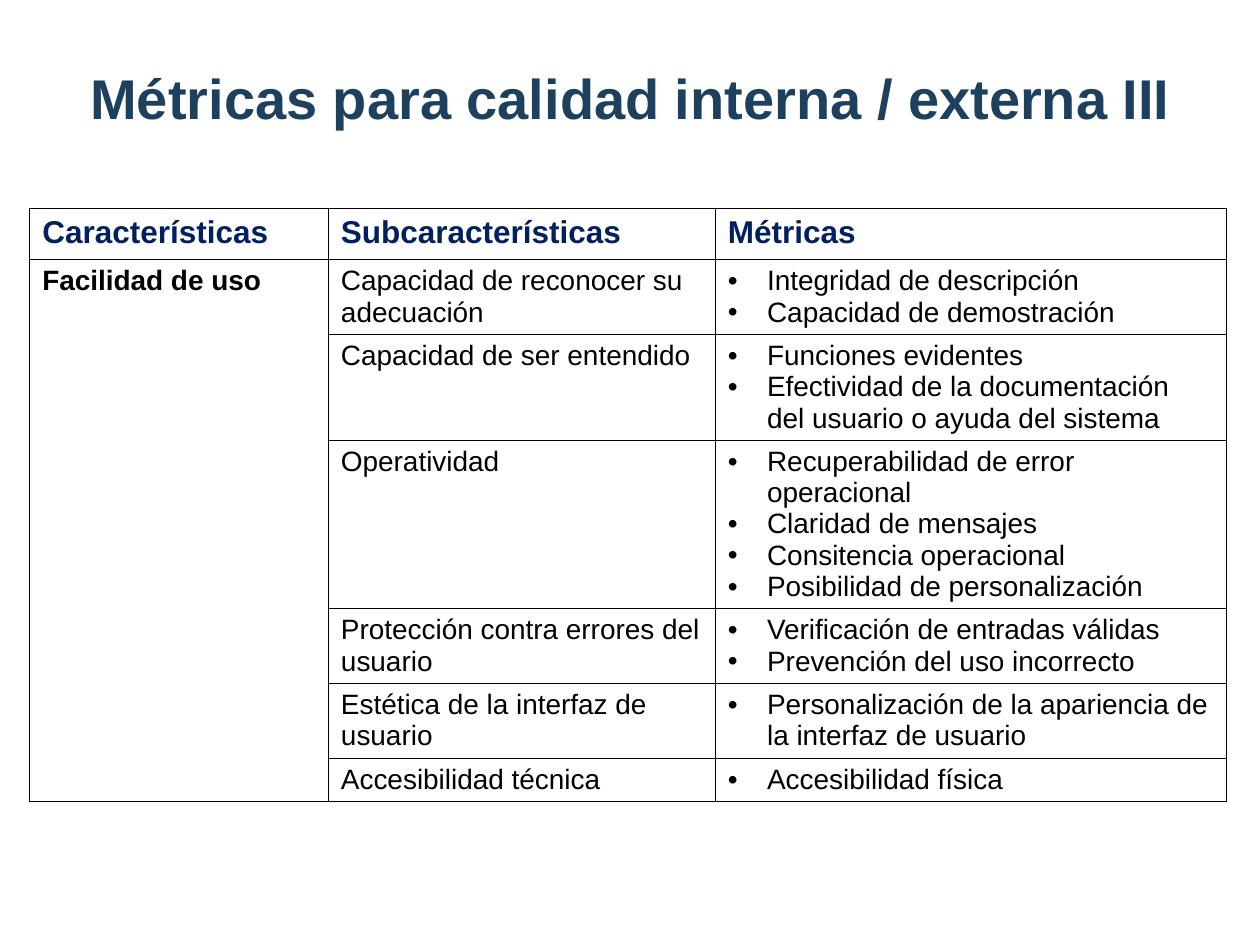
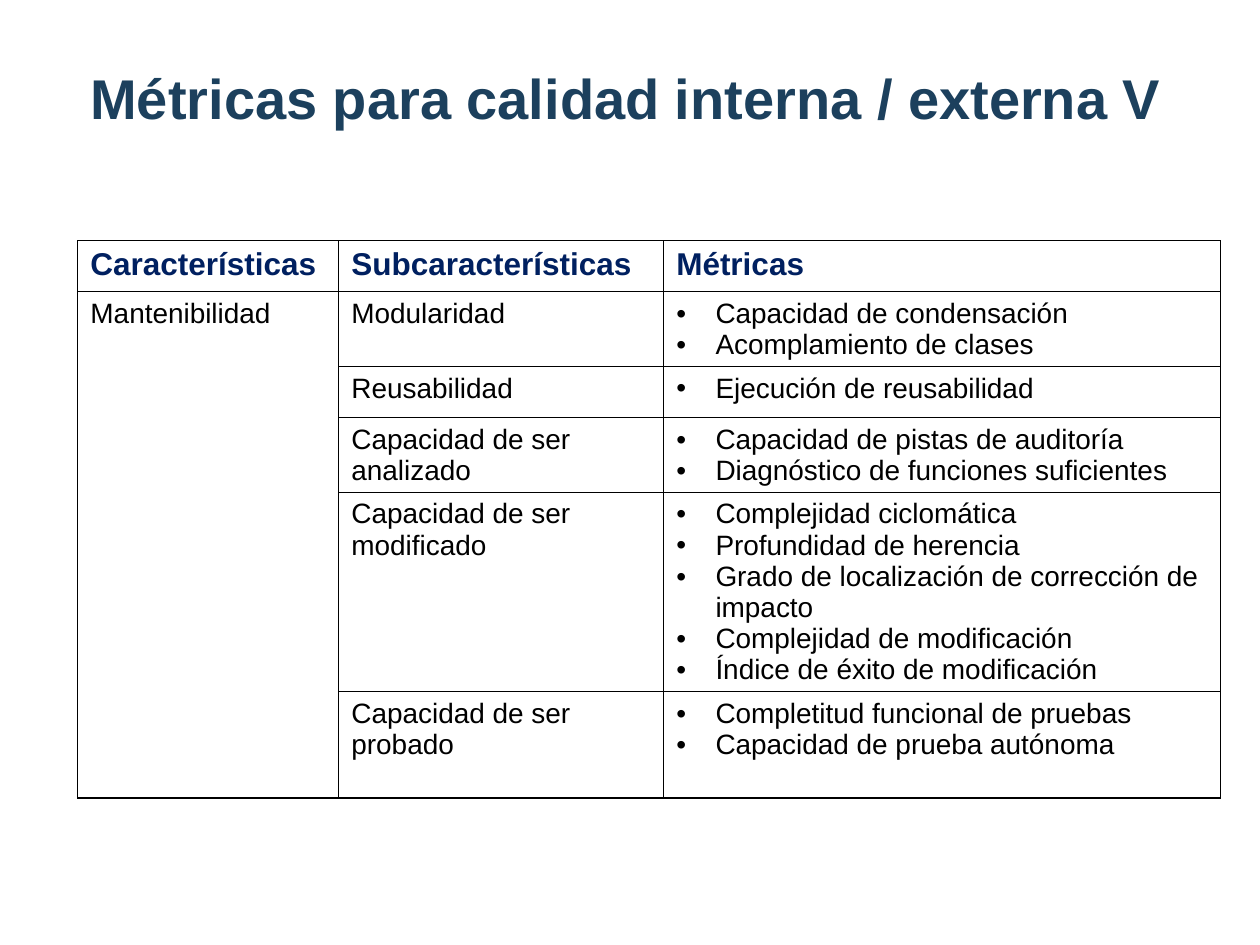
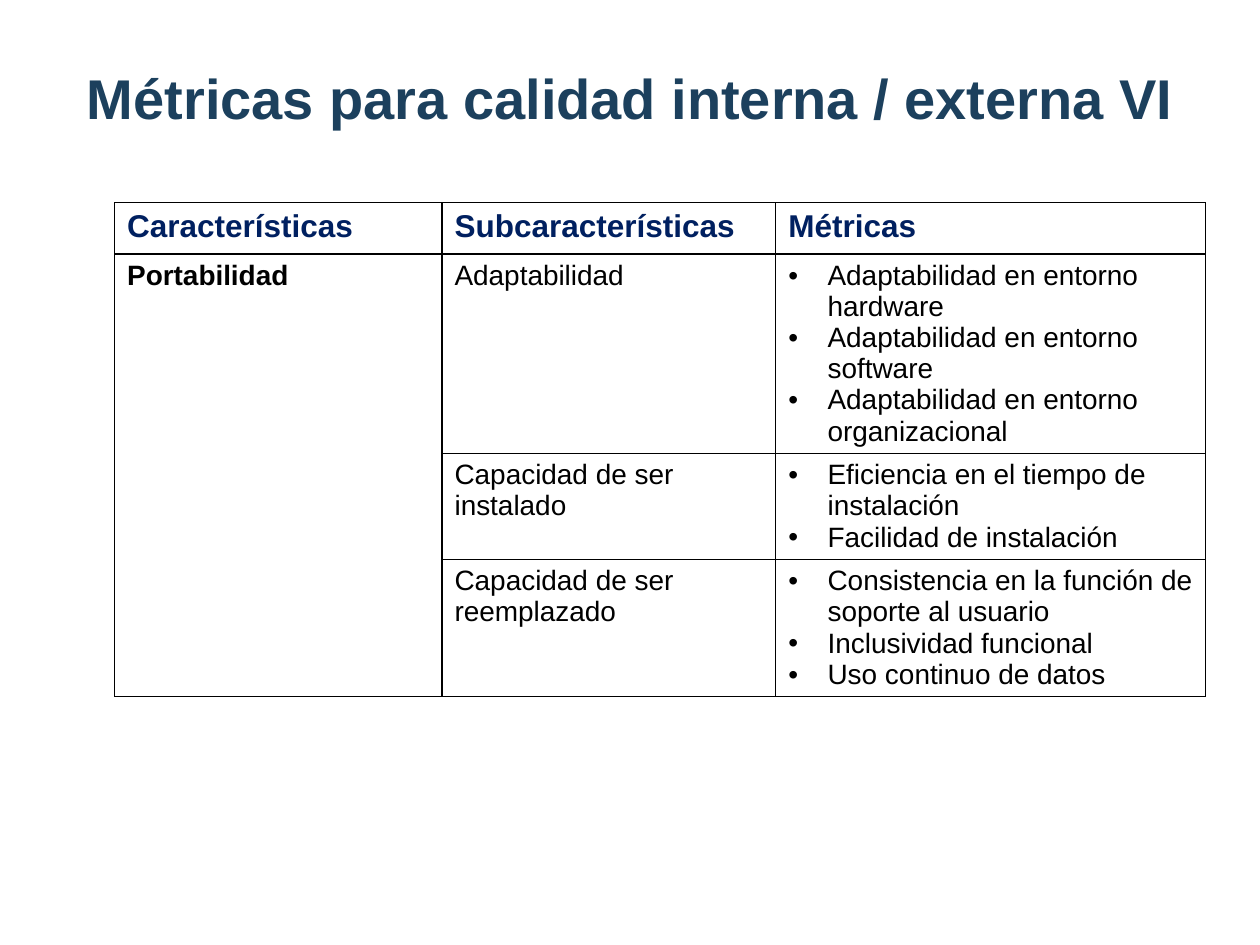
import pptx
import pptx.util
import pptx.dml.color
import pptx.enum.text
import pptx.oxml
import pptx.oxml.ns

Cm, Pt = pptx.util.Cm, pptx.util.Pt

# Content: one dict per slide, lengths in cm; each row is
# (height, subcharacteristic, metrics)
HEADS = ("Características", "Subcaracterísticas", "Métricas")
TITLE = "Métricas para calidad interna / externa "
SLIDES = [
    {
        "num": "III", "left": 1.57, "spot": (0.6, 4.2), "cols": (6.02, 7.8, 10.31),
        "trait": "Facilidad de uso", "bold": True,
        "rows": [
            (1.5, "Capacidad de reconocer su adecuación",
             ["Integridad de descripción", "Capacidad de demostración"]),
            (2.13, "Capacidad de ser entendido",
             ["Funciones evidentes",
              "Efectividad de la documentación del usuario o ayuda del sistema"]),
            (3.38, "Operatividad",
             ["Recuperabilidad de error operacional", "Claridad de mensajes",
              "Consitencia operacional", "Posibilidad de personalización"]),
            (1.5, "Protección contra errores del usuario",
             ["Verificación de entradas válidas", "Prevención del uso incorrecto"]),
            (1.5, "Estética de la interfaz de usuario",
             ["Personalización de la apariencia de la interfaz de usuario"]),
            (0.88, "Accesibilidad técnica", ["Accesibilidad física"]),
        ],
    },
    {
        "num": "V", "left": 1.57, "spot": (1.57, 4.85), "cols": (5.26, 6.55, 11.23),
        "trait": "Mantenibilidad", "bold": False,
        "rows": [
            (1.5, "Modularidad",
             ["Capacidad de condensación", "Acomplamiento de clases"]),
            (1.03, "Reusabilidad", ["Ejecución de reusabilidad"]),
            (1.5, "Capacidad de ser analizado",
             ["Capacidad de pistas de auditoría",
              "Diagnóstico de funciones suficientes"]),
            (4.02, "Capacidad de ser modificado",
             ["Complejidad ciclomática", "Profundidad de herencia",
              "Grado de localización de corrección de impacto",
              "Complejidad de modificación", "Índice de éxito de modificación"]),
            (2.14, "Capacidad de ser probado",
             ["Completitud funcional de pruebas", "Capacidad de prueba autónoma"]),
        ],
    },
    {
        "num": "VI", "left": 1.5, "spot": (2.31, 4.09), "cols": (6.6, 6.73, 8.66),
        "trait": "Portabilidad", "bold": True,
        "rows": [
            (4.02, "Adaptabilidad",
             ["Adaptabilidad en entorno hardware", "Adaptabilidad en entorno software",
              "Adaptabilidad en entorno organizacional"]),
            (2.13, "Capacidad de ser instalado",
             ["Eficiencia en el tiempo de instalación", "Facilidad de instalación"]),
            (2.76, "Capacidad de ser reemplazado",
             ["Consistencia en la función de soporte al usuario",
              "Inclusividad funcional", "Uso continuo de datos"]),
        ],
    },
]

# Theme: text formats, table lines and shared lengths
FONT = "Arial"
THEME = {
    "title": {"name": FONT, "size": Pt(32), "bold": True, "color": "1C405D"},
    "head": {"name": FONT, "size": Pt(18), "bold": True, "color": "002060"},
    "trait": {"name": FONT, "size": Pt(16), "bold": True, "color": "000000"},
    "body": {"name": FONT, "size": Pt(16), "bold": False, "color": "000000"},
    "line": "000000",
    "width": Pt(0.75),
    "indent": Cm(0.79),
    "head_row": 1.03,
}
FRAME = {
    "margin_left": Cm(0.25), "margin_right": Cm(0.25),
    "margin_top": Cm(0.25), "margin_bottom": Cm(0.25),
    "word_wrap": True,
    "auto_size": pptx.enum.text.MSO_AUTO_SIZE.NONE,
    "vertical_anchor": pptx.enum.text.MSO_ANCHOR.BOTTOM,
}
PLAIN = {"first_row": False, "horz_banding": False}


def apply(thing, form):
    for key, val in form.items():
        if key == "color":
            thing.color.rgb = pptx.dml.color.RGBColor.from_string(val)
        else:
            setattr(thing, key, val)


def xml(text):
    space = pptx.oxml.ns.nsdecls("a")
    return pptx.oxml.parse_xml(text.replace(">", f" {space}>", 1))


def bullet(para):
    props = para._p.get_or_add_pPr()
    props.set("marL", str(THEME["indent"]))
    props.set("indent", str(-THEME["indent"]))
    props.append(xml(f'<a:buClr><a:srgbClr val="{THEME["line"]}"/></a:buClr>'))
    props.append(xml(f'<a:buFont typeface="{FONT}"></a:buFont>'))
    props.append(xml('<a:buChar char="•"></a:buChar>'))


def write(cell, lines, form, dots=False):
    frame = cell.text_frame
    for i, line in enumerate(lines):
        para = frame.paragraphs[0] if i == 0 else frame.add_paragraph()
        if dots:
            bullet(para)
        run = para.add_run()
        run.text = line
        apply(run.font, form)


def outline(cell):
    props = cell._tc.get_or_add_tcPr()
    for side in "LRTB":
        props.append(xml(
            f'<a:ln{side} w="{THEME["width"]}"><a:solidFill>'
            f'<a:srgbClr val="{THEME["line"]}"/></a:solidFill></a:ln{side}>'))
    cell.fill.background()


def add_title(slide, data):
    title = slide.shapes.title
    apply(title, {"left": Cm(data["left"]), "top": Cm(0.76),
                  "width": Cm(25.4 - data["left"]), "height": Cm(2.13)})
    apply(title.text_frame, FRAME)
    para = title.text_frame.paragraphs[0]
    para.alignment = pptx.enum.text.PP_ALIGN.JUSTIFY
    run = para.add_run()
    run.text = TITLE + data["num"]
    apply(run.font, THEME["title"])


def add_grid(slide, data):
    rows, cols = data["rows"], data["cols"]
    highs = [THEME["head_row"]] + [row[0] for row in rows]
    left, top = data["spot"]
    grid = slide.shapes.add_table(
        len(highs), len(cols), Cm(left), Cm(top), Cm(sum(cols)), Cm(sum(highs))).table
    apply(grid, PLAIN)
    for col, wide in zip(grid.columns, cols):
        col.width = Cm(wide)
    for row, high in zip(grid.rows, highs):
        row.height = Cm(high)
    for cell in grid.iter_cells():
        outline(cell)

    # Header, merged first column, then the two detail columns
    for c, head in enumerate(HEADS):
        write(grid.cell(0, c), [head], THEME["head"])
    grid.cell(1, 0).merge(grid.cell(len(rows), 0))
    write(grid.cell(1, 0), [data["trait"]], THEME["trait" if data["bold"] else "body"])
    for r, (_, sub, items) in enumerate(rows, 1):
        write(grid.cell(r, 1), [sub], THEME["body"])
        write(grid.cell(r, 2), items, THEME["body"], dots=True)


def main():
    deck = pptx.Presentation()
    apply(deck, {"slide_width": Cm(25.4), "slide_height": Cm(19.05)})
    for data in SLIDES:
        slide = deck.slides.add_slide(deck.slide_layouts[5])
        add_title(slide, data)
        add_grid(slide, data)
    deck.save("out.pptx")


if __name__ == "__main__":
    main()
